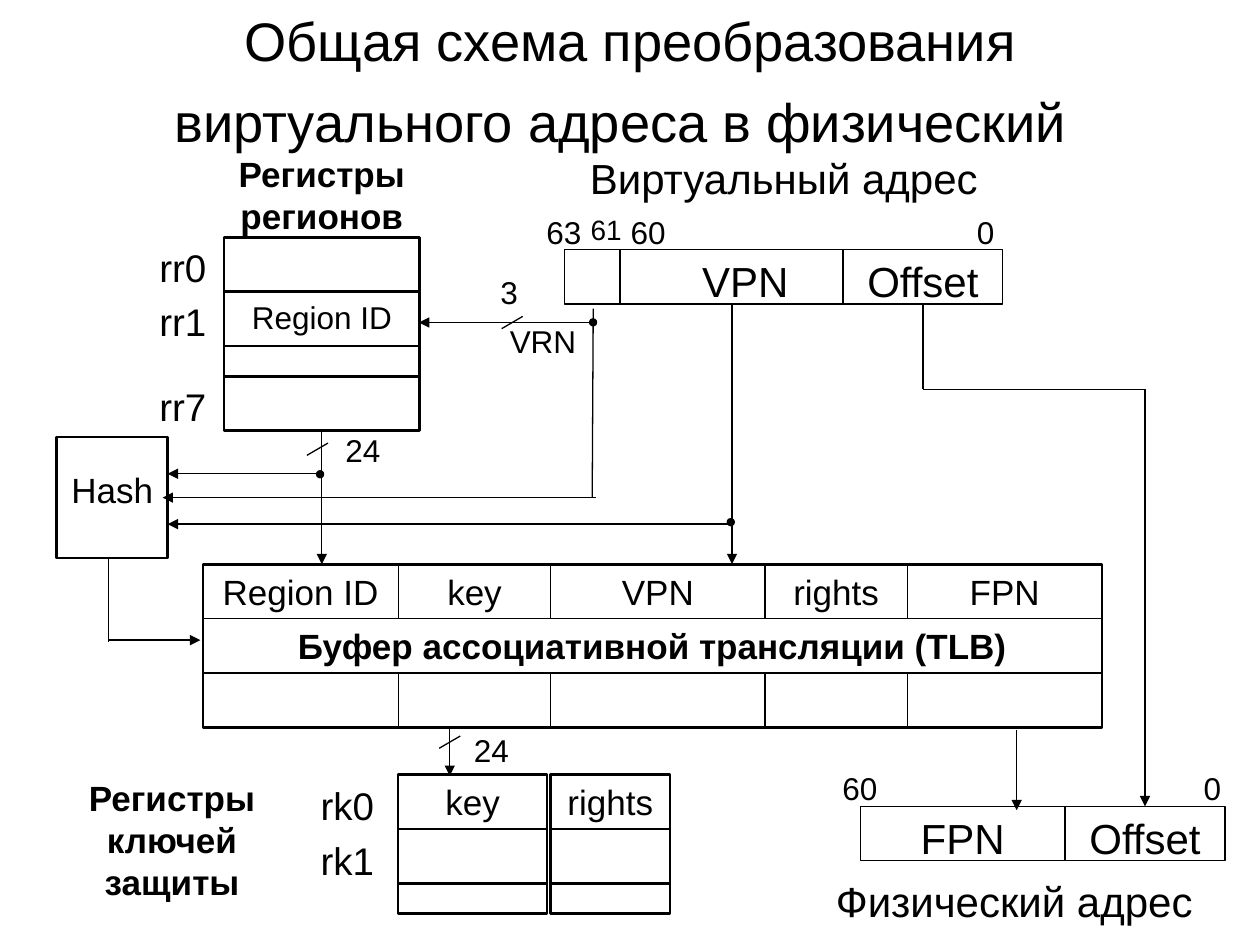
from itertools import accumulate

from lxml import etree
from pptx import Presentation
from pptx.dml.color import RGBColor
from pptx.enum import shapes, text
from pptx.oxml import ns
from pptx.util import Pt

COLORS = {"ink": "000000", "paper": "FFFFFF"}
FONT = "Arial"
ROW, SHORT_ROW = 31.1, 17.3
THIN, THICK = 0.75, 1.5


def color(name):
    return RGBColor.from_string(COLORS[name])


def write(box, words, size=20, bold=False, top=3.6, anchor=text.MSO_ANCHOR.TOP):
    """Put centred words in a shape and return the paragraph."""
    frame = box.text_frame
    frame.word_wrap = True
    frame.vertical_anchor = anchor
    frame.margin_top = Pt(top)
    para = frame.paragraphs[0]
    para.text = words
    para.alignment = text.PP_ALIGN.CENTER
    for span in para.runs:
        style(span, size, bold)
    return para


def style(span, size, bold=False):
    span.font.name = FONT
    span.font.size = Pt(size)
    span.font.bold = bold
    span.font.color.rgb = color("ink")


def label(page, words, x, y, width, height, **form):
    box = page.shapes.add_textbox(Pt(x), Pt(y), Pt(width), Pt(height))
    return write(box, words, **form)


def outline(page, x, y, width, height, weight=THIN, fill="paper",
            kind=shapes.MSO_SHAPE.RECTANGLE):
    box = page.shapes.add_shape(kind, Pt(x), Pt(y), Pt(width), Pt(height))
    box.shadow.inherit = False
    box.line.color.rgb = color("ink")
    box.line.width = Pt(weight)
    if fill:
        box.fill.solid()
        box.fill.fore_color.rgb = color(fill)
    else:
        box.fill.background()
    return box


def cell(page, words, x, y, width, height=ROW, weight=THIN, **form):
    box = outline(page, x, y, width, height, weight)
    if words:
        write(box, words, **form)
    return box


def cell_row(page, words, x, y, widths, **form):
    """Lay cells side by side from x."""
    lefts = accumulate(widths, initial=x)
    return [cell(page, word, left, y, width, **form)
            for word, left, width in zip(words, lefts, widths)]


def cell_column(page, words, x, y, width, heights, **form):
    """Stack cells downwards from y."""
    tops = accumulate(heights, initial=y)
    return [cell(page, word, x, top, width, height, weight=THICK, **form)
            for word, top, height in zip(words, tops, heights)]


def wire(page, x1, y1, x2, y2, arrow=False):
    line = page.shapes.add_connector(
        shapes.MSO_CONNECTOR.STRAIGHT, Pt(x1), Pt(y1), Pt(x2), Pt(y2))
    line.line.color.rgb = color("ink")
    line.line.width = Pt(THIN)
    if arrow:
        stroke = line.line._get_or_add_ln()
        etree.SubElement(stroke, ns.qn("a:tailEnd"), type="triangle")
    etree.SubElement(line._element.spPr, ns.qn("a:effectLst"))
    return line


def bus_mark(page, x, y):
    """Slash across a wire, centred on x, y."""
    wire(page, x - 6, y + 3.5, x + 6, y - 3.5)


def node(page, x, y):
    outline(page, x - 2, y - 2, 4, 4, fill="ink", kind=shapes.MSO_SHAPE.OVAL)


def add_title(page):
    para = label(page, "Общая схема преобразования виртуального адреса в физический",
                 36, 21.6, 648, 50.4, size=31, anchor=text.MSO_ANCHOR.MIDDLE)
    style_gap = para.add_run()
    style_gap.text = " "
    style(style_gap, 40)


def add_region_registers(page):
    """Draw the registers and return the last one."""
    registers = cell_column(page, ["", "Region ID", "", ""], 128.1, 135.6, 111.6,
                            [ROW, ROW, SHORT_ROW, ROW], size=18)
    for words, y in (("rr0", 135.6), ("rr1", 166.8), ("rr7", 215.3)):
        label(page, words, 72, y, 65, 29, size=22)
    label(page, "Регистры\nрегионов", 128.1, 83.5, 111.6, 59, bold=True)
    return registers[-1]


def add_virtual_address(page):
    """Draw the address fields and return the offset field."""
    fields = cell_row(page, ["", "VPN"], 322.6, 142.6, [31.7, 143.3], size=24)
    fields.append(cell(page, "Offset", 481.7, 142.6, 91.4, size=24))
    label(page, "Виртуальный адрес", 322.6, 83.5, 250.6, 31, size=24)
    bits = (("63", 302.4, 18), ("61", 326.6, 16), ("60", 350.6, 18), ("0", 543.4, 18))
    for words, x, size in bits:
        label(page, words, x, 118.1, 39.6, 29, size=size)
    return fields[-1]


def add_physical_address(page):
    """Draw the address fields and return the offset field."""
    fields = cell_row(page, ["FPN", "Offset"], 491.6, 460.8, [117, 91.4], size=24)
    label(page, "Физический адрес", 454.3, 496.8, 250.6, 31, size=24)
    for words, x in (("60", 471.6), ("0", 673)):
        label(page, words, x, 435.6, 39.6, 29, size=18)
    return fields[-1]


def add_translation_buffer(page):
    left, top = 116, 322.4
    widths = [111.6, 87.2, 122.3, 81.4, 111.2]
    cell_row(page, ["Region ID", "key", "VPN", "rights", "FPN"], left, top, widths)
    cell(page, "Буфер ассоциативной трансляции (TLB)", left, top + ROW,
         sum(widths), bold=True)
    cell_row(page, [""] * len(widths), left, top + 2 * ROW, widths)
    outline(page, left, top, sum(widths), 3 * ROW, weight=THICK, fill=None)


def add_key_registers(page):
    for words, x, width in (("key", 227.5, 85), ("rights", 314.6, 68.4)):
        cell_column(page, [words, "", ""], x, 442.6, width, [ROW, ROW, SHORT_ROW])
    for words, y in (("rk0", 443.5), ("rk1", 474.5)):
        label(page, words, 153.4, y, 90, 29, size=22)
    label(page, "Регистры\nключей\nзащиты", 42.5, 439.9, 111.6, 70.6, bold=True)


def add_wires(page, region, virtual_offset, physical_offset):
    for points in (
        (338.4, 184.3, 239.4, 184.3),
        (418.3, 173.7, 418.3, 322.4),
        (257, 415.9, 257, 443.4),
        (581, 417, 581, 463),
        (183.6, 270.7, 95.8, 270.7),
        (340.5, 284.4, 92.9, 284.4),
        (417.6, 299.5, 95.8, 299.5),
        (61.9, 365.8, 114.5, 365.8),
    ):
        wire(page, *points, arrow=True)
    wire(page, 61.9, 318.5, 61.9, 366.8)
    wire(page, 339, 176.4, 338.4, 284.4)

    region_wire = wire(page, 183.9, 246.2, 183.9, 322.4, arrow=True)
    region_wire.begin_connect(region, 2)
    drop = wire(page, 527.4, 173.7, 527.4, 222.5)
    drop.begin_connect(virtual_offset, 2)
    wire(page, 527.4, 222.5, 654.3, 222.5)
    offset_wire = wire(page, 654.3, 222.5, 654.3, 460.8, arrow=True)
    offset_wire.end_connect(physical_offset, 0)

    for x, y in ((292.7, 184.3), (181.4, 256.7), (257, 424.1)):
        bus_mark(page, x, y)
    for x, y in ((417.6, 298.4), (182.9, 271), (338.9, 184.2)):
        node(page, x, y)
    for words, x, y in (("3", 259.2, 152.6), ("VRN", 278.6, 180.7),
                        ("24", 175.7, 242.6), ("24", 249.1, 414)):
        label(page, words, x, y, 63.4, 31, size=18)


def main():
    deck = Presentation()
    deck.slide_width, deck.slide_height = Pt(720), Pt(540)
    page = deck.slides.add_slide(deck.slide_layouts[6])
    add_title(page)
    region = add_region_registers(page)
    virtual_offset = add_virtual_address(page)
    physical_offset = add_physical_address(page)
    add_translation_buffer(page)
    add_key_registers(page)
    cell(page, "Hash", 32.4, 249.8, 63.4, 69.1, weight=THICK, top=18)
    add_wires(page, region, virtual_offset, physical_offset)
    deck.save("out.pptx")


if __name__ == "__main__":
    main()
